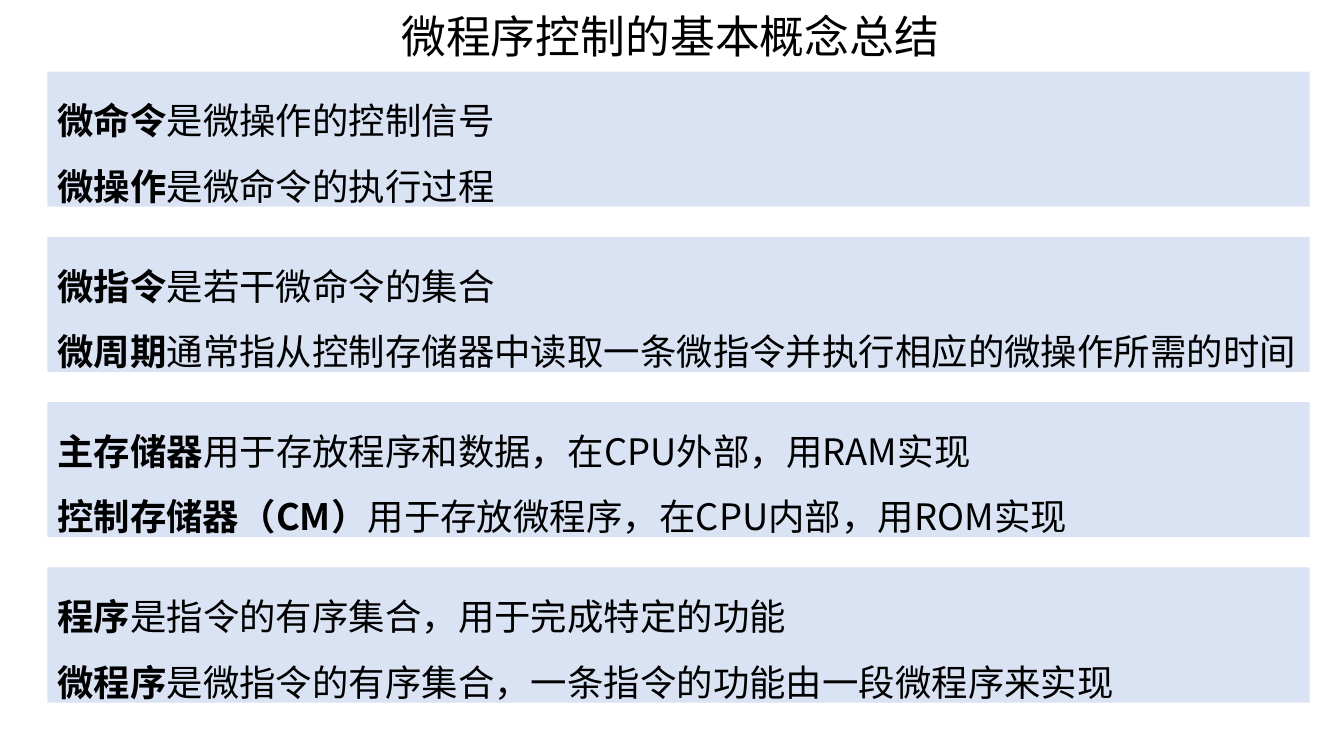
"""Build the summary slide on the basic ideas of microprogram control."""
from lxml.etree import SubElement as Sub
from pptx import Presentation
from pptx.dml.color import RGBColor as RGB
from pptx.enum.shapes import MSO_SHAPE as Shape
from pptx.enum.text import MSO_ANCHOR as Anchor, MSO_AUTO_SIZE as Fit, PP_ALIGN as Align
from pptx.oxml.ns import qn
from pptx.util import Pt

PX = 9144
theme = {
    "font": "Noto Sans CJK SC",
    "ink": RGB.from_string("000000"),
    "band": RGB.from_string("DAE3F3"),
    "title": Pt(32),
    "body": Pt(26),
}
groups = [
    [("微命令", "是微操作的控制信号"),
     ("微操作", "是微命令的执行过程")],
    [("微指令", "是若干微命令的集合"),
     ("微周期", "通常指从控制存储器中读取一条微指令并执行相应的微操作所需的时间")],
    [("主存储器", "用于存放程序和数据，在CPU外部，用RAM实现"),
     ("控制存储器（CM）", "用于存放微程序，在CPU内部，用ROM实现")],
    [("程序", "是指令的有序集合，用于完成特定的功能"),
     ("微程序", "是微指令的有序集合，一条指令的功能由一段微程序来实现")],
]
LEFT, TOP, WIDE, HIGH, STEP = 47, 71, 1252, 134, 164


def place(*box):
    return [n * PX for n in box]


def add_run(para, text, size, bold=False):
    run = para.add_run()
    run.text = text
    font = run.font
    font.name, font.size, font.bold = theme["font"], size, bold
    font.color.rgb = theme["ink"]
    Sub(run._r.get_or_add_rPr(), qn("a:ea"), typeface=theme["font"])


deck = Presentation()
deck.slide_width, deck.slide_height = place(1333, 750)
slide = deck.slides.add_slide(deck.slide_layouts[6])

title = slide.shapes.add_textbox(*place(384, 4, 562, 64)).text_frame
title.word_wrap = True
title.auto_size = Fit.SHAPE_TO_FIT_TEXT
title.paragraphs[0].alignment = Align.CENTER
add_run(title.paragraphs[0], "微程序控制的基本概念总结", theme["title"])

for row, terms in enumerate(groups):
    band = slide.shapes.add_shape(
        Shape.RECTANGLE, *place(LEFT, TOP + row * STEP, WIDE, HIGH))
    band.shadow.inherit = False
    band.fill.solid()
    band.fill.fore_color.rgb = theme["band"]
    band.line.fill.background()
    frame = band.text_frame
    frame.word_wrap = True
    frame.auto_size = Fit.SHAPE_TO_FIT_TEXT
    frame.vertical_anchor = Anchor.TOP
    for i, (term, gloss) in enumerate(terms):
        para = frame.add_paragraph() if i else frame.paragraphs[0]
        para.alignment = Align.LEFT
        para.line_spacing = 1.5
        add_run(para, term, theme["body"], True)
        add_run(para, gloss, theme["body"])

deck.save("out.pptx")
